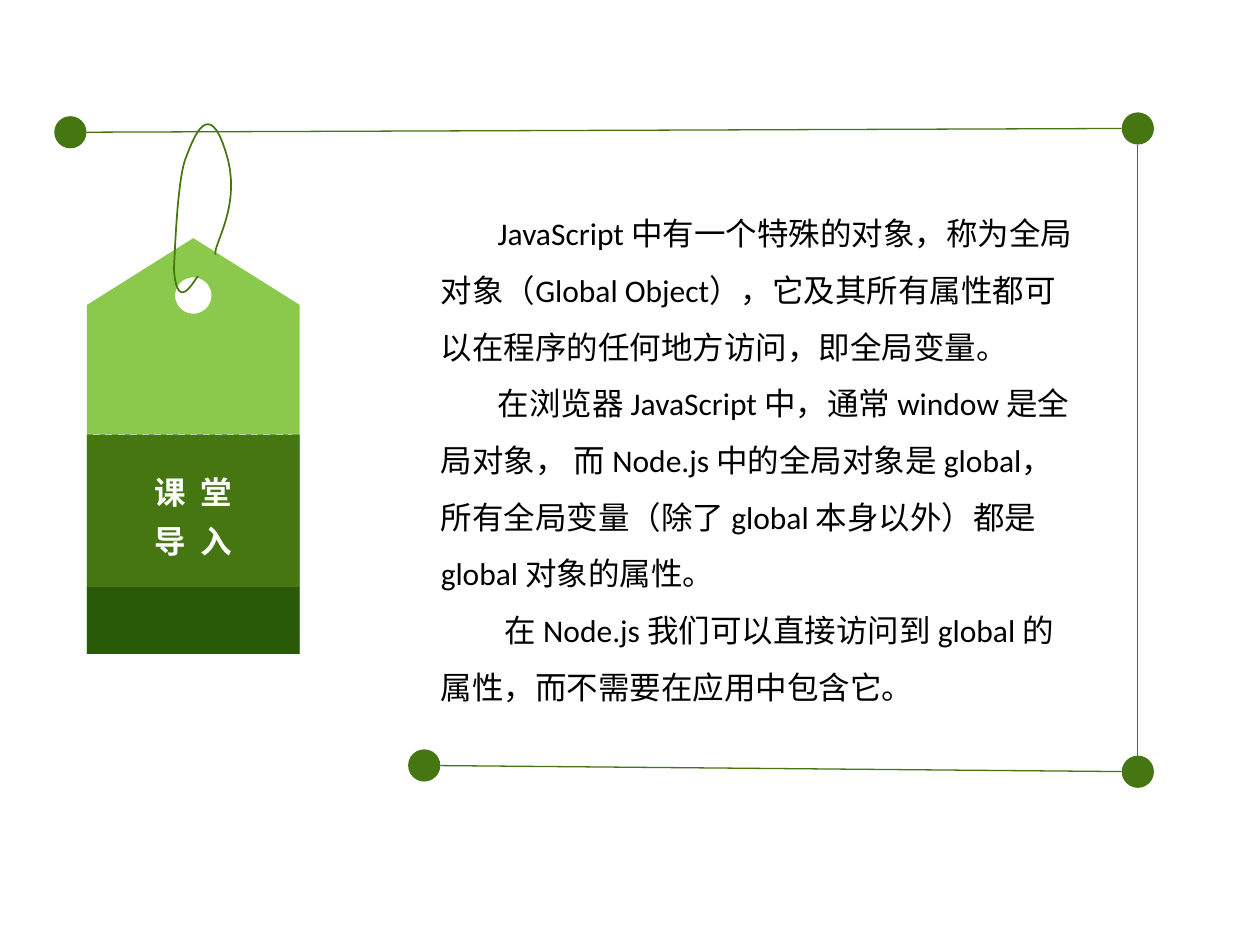
import pptx
import pptx.util
import pptx.dml.color
import pptx.enum.dml
import pptx.enum.shapes
import pptx.enum.text
import pptx.oxml.ns
import lxml.etree
import math
from dataclasses import dataclass

Pt = pptx.util.Pt
SHAPE = pptx.enum.shapes.MSO_SHAPE


@dataclass(frozen=True)
class Theme:
    """Colours, fonts and type sizes of the slide."""
    light: str = "8BC94C"
    green: str = "467612"
    dark: str = "295A07"
    white: str = "FFFFFF"
    ink: str = "000000"
    latin: str = "Calibri"
    cjk: str = "Noto Sans CJK SC"
    size: float = 18


THEME = Theme()
# Control points of three-part curves, measured from the tag's top left corner
CORD = [(63.4, 22.3), (63.4, 19.4), (51.8, 46.1), (49.7, 18),
        (50.4, 5), (51.8, -36), (56.9, -46.8),
        (61.2, -58.3), (69.8, -79.9), (79.2, -49.7),
        (89.3, -19.4), (72, 3.6), (73.4, 9.4)]
PARAGRAPHS = [
    (32.5, "JavaScript 中有一个特殊的对象，称为全局对象（Global Object），"
           "它及其所有属性都可以在程序的任何地方访问，即全局变量。"),
    (32.5, "在浏览器 JavaScript 中，通常 window 是全局对象， 而 Node.js 中的全局对象是 global，"
           "所有全局变量（除了 global 本身以外）都是 global 对象的属性。"),
    (36.5, "在 Node.js 我们可以直接访问到 global 的属性，而不需要在应用中包含它。"),
]


def rgb(color):
    """Turn a hex string into a colour."""
    return pptx.dml.color.RGBColor.from_string(color)


def paint(shape, fill=None, line=None, weight=1):
    """Give a shape a flat fill and outline, without shadow."""
    shape.shadow.inherit = False
    if fill:
        shape.fill.solid()
        shape.fill.fore_color.rgb = rgb(fill)
    else:
        shape.fill.background()
    if line:
        shape.line.color.rgb = rgb(line)
        shape.line.width = Pt(weight)
    else:
        shape.line.fill.background()
    return shape


def add_preset(slide, kind, left, top, width, height, fill):
    """Add a filled preset shape."""
    shape = slide.shapes.add_shape(kind, Pt(left), Pt(top), Pt(width), Pt(height))
    return paint(shape, fill)


def add_line(slide, start, end, color, weight=0.75, dash=None):
    """Add a straight line without shadow."""
    line = slide.shapes.add_connector(pptx.enum.shapes.MSO_CONNECTOR.STRAIGHT,
                                      *(Pt(v) for v in (*start, *end)))
    line.line.color.rgb = rgb(color)
    line.line.width = Pt(weight)
    if dash:
        line.line.dash_style = dash
    lxml.etree.SubElement(line._element.spPr, pptx.oxml.ns.qn("a:effectLst"))


def add_outline(slide, left, top, contours, closed):
    """Add a freeform of one or more contours given relative to a corner."""
    placed = [[(Pt(left + x), Pt(top + y)) for x, y in contour] for contour in contours]
    builder = slide.shapes.build_freeform(*placed[0][0])
    for number, contour in enumerate(placed):
        if number:
            builder.move_to(*contour[0])
        builder.add_line_segments(contour[1:], close=closed)
    return builder.convert_to_shape()


def curve_points(controls, steps=16):
    """Follow a chain of cubic curves."""
    points = [controls[0]]
    for i in range(0, len(controls) - 1, 3):
        for step in range(1, steps + 1):
            t = step / steps
            weights = ((1 - t) ** 3, 3 * t * (1 - t) ** 2, 3 * t * t * (1 - t), t ** 3)
            points.append(tuple(sum(w * p[axis] for w, p in zip(weights, controls[i:i + 4]))
                                for axis in (0, 1)))
    return points


def add_run(paragraph, text, latin, color, bold=False, spacing=0):
    """Add a run with Latin and East Asian fonts."""
    run = paragraph.add_run()
    run.text = text
    run.font.size = Pt(THEME.size)
    run.font.name = latin
    run.font.bold = bold
    run.font.color.rgb = rgb(color)
    properties = run.font._element
    lxml.etree.SubElement(properties, pptx.oxml.ns.qn("a:ea")).set("typeface", THEME.cjk)
    if spacing:
        properties.set("spc", str(spacing * 100))


def add_tag(slide, left, top, width, height):
    """Draw the hanging tag with its title and cord."""
    shoulder, band_top, foot_top = 38.2, 112.3, 198.7
    hole_y, hole_radius = 32.8, 10.4
    body = [(width / 2, 0), (width, shoulder), (width, height), (0, height), (0, shoulder)]
    angles = [-math.tau * i / 48 for i in range(48)]
    hole = [(width / 2 + hole_radius * math.cos(a), hole_y + hole_radius * math.sin(a))
            for a in angles]
    paint(add_outline(slide, left, top, [hole, body], True), THEME.light)
    add_preset(slide, SHAPE.RECTANGLE, left, top + foot_top, width, height - foot_top, THEME.dark)
    add_line(slide, (left, top + foot_top), (left + width, top + foot_top), THEME.white)
    add_line(slide, (left + 3.6, top + band_top), (left + width - 4.3, top + band_top),
             THEME.white, 1, pptx.enum.dml.MSO_LINE.DASH)
    band = add_preset(slide, SHAPE.RECTANGLE, left, top + band_top, width,
                      foot_top - band_top + 0.7, THEME.green)
    title = band.text_frame
    title.vertical_anchor = pptx.enum.text.MSO_ANCHOR.MIDDLE
    title.margin_left = title.margin_right = Pt(4.3)
    title.margin_top = title.margin_bottom = Pt(3.6)
    for number, word in enumerate(("课堂", "导入")):
        line = title.add_paragraph() if number else title.paragraphs[0]
        line.alignment = pptx.enum.text.PP_ALIGN.CENTER
        line.line_spacing = 1.3
        for text, spacing in ((word[0], 0), (" ", 4), (word[1], 0)):
            add_run(line, text, THEME.cjk, THEME.white, True, spacing)
    paint(add_outline(slide, left, top, [curve_points(CORD)], False), line=THEME.green)


def add_frame(slide, left, top, width, height):
    """Draw the corner dots and the lines between their edges."""
    radius = 9.2
    right = left + width
    dots = [(left, top + 2.2), (right, top), (right, top + height),
            (left + 202.2, top + height - 3.6)]
    for x, y in dots:
        add_preset(slide, SHAPE.OVAL, x - radius, y - radius, 2 * radius, 2 * radius, THEME.green)
    for (x1, y1), (x2, y2) in zip(dots, dots[1:]):
        share = radius / math.hypot(x2 - x1, y2 - y1)
        dx, dy = (x2 - x1) * share, (y2 - y1) * share
        add_line(slide, (x1 + dx, y1 + dy), (x2 - dx, y2 - dy), THEME.green)


def add_body(slide, left, top, width, height):
    """Write the introduction with first-line indents."""
    box = slide.shapes.add_textbox(Pt(left), Pt(top), Pt(width), Pt(height))
    body = box.text_frame
    body.word_wrap = True
    body.auto_size = pptx.enum.text.MSO_AUTO_SIZE.SHAPE_TO_FIT_TEXT
    for number, (indent, text) in enumerate(PARAGRAPHS):
        paragraph = body.add_paragraph() if number else body.paragraphs[0]
        paragraph.line_spacing = 1.5
        properties = paragraph._p.get_or_add_pPr()
        properties.set("marL", "0")
        properties.set("indent", str(Pt(indent)))
        add_run(paragraph, text, THEME.latin, THEME.ink)


def main():
    """Build and save the slide."""
    deck = pptx.Presentation()
    deck.slide_width, deck.slide_height = Pt(720), Pt(540)
    slide = deck.slides.add_slide(deck.slide_layouts[6])
    add_tag(slide, 49.7, 136.1, 121.6, 237.6)
    add_frame(slide, 40.2, 73.4, 610, 367.6)
    add_body(slide, 244.8, 108, 381.6, 301.7)
    deck.save("out.pptx")


main()
